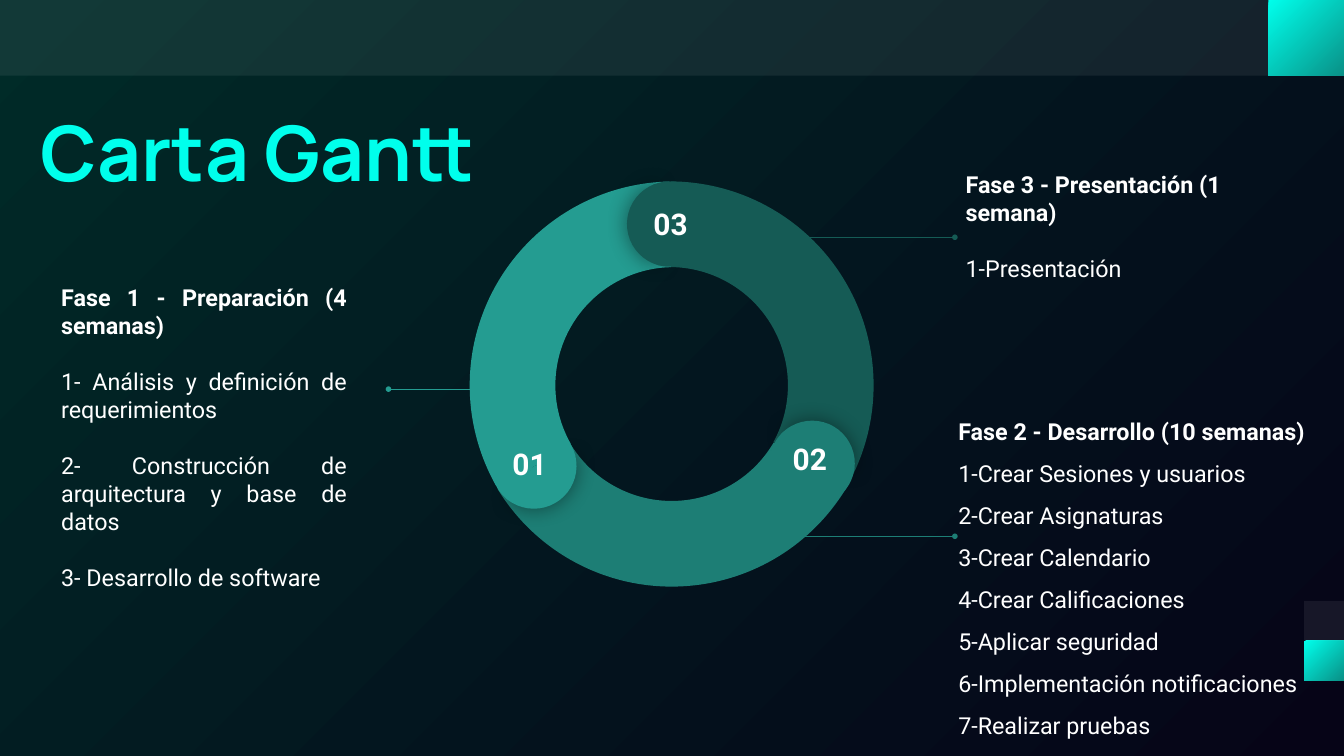
import dataclasses

import lxml.etree
import pptx
import pptx.dml.color
import pptx.enum.dml
import pptx.enum.shapes
import pptx.enum.text
import pptx.oxml.ns
import pptx.util

Pt = pptx.util.Pt
qn = pptx.oxml.ns.qn
SHAPE = pptx.enum.shapes.MSO_SHAPE
ALIGN = pptx.enum.text.PP_ALIGN
ANCHOR = pptx.enum.text.MSO_ANCHOR
NO_FIT = pptx.enum.text.MSO_AUTO_SIZE.NONE


@dataclasses.dataclass(frozen=True)
class Theme:
    accent: str = "00FFEC"
    accent_dark: str = "099187"
    backdrop: tuple = ("002B28", "060417")
    light: str = "FFFFFF"
    shadow: str = "000000"
    phase1: str = "249C91"
    phase2: str = "1D7E75"
    phase3: str = "155B55"
    title_font: str = "Manrope"
    text_font: str = "Roboto"
    title_size: float = 81.9
    number_size: float = 32
    text_size: float = 25
    inset: float = 14.4


@dataclasses.dataclass(frozen=True)
class Phase:
    number: str
    color: str
    ring_at: tuple
    cap_at: tuple
    turn: int
    number_at: tuple
    leader: tuple
    list_box: tuple
    lines: tuple
    paragraph: dict


def rgb(color):
    return pptx.dml.color.RGBColor.from_string(color)


def assign(target, values):
    for name, value in values.items():
        setattr(target, name, value)


def add_xml(parent, tag, **attributes):
    return lxml.etree.SubElement(parent, qn(tag), attributes)


class PhaseSlide:
    RING_SIZE = 437
    CAP_SIZE = 91.4

    def __init__(self, presentation, theme):
        self.theme = theme
        layout = presentation.slide_layouts.get_by_name("Comparison")
        self.slide = presentation.slides.add_slide(layout)
        self.gradient(self.slide.background.fill, theme.backdrop)

    def gradient(self, fill, colors):
        fill.gradient()
        fill.gradient_angle = 315
        for stop, color, position in zip(fill.gradient_stops, colors, (0, 1)):
            stop.color.rgb = rgb(color)
            stop.position = position

    def place(self, shape, box):
        assign(shape, dict(zip(("left", "top", "width", "height"), map(Pt, box))))

    def frame(self, shape, anchor, inset):
        margins = dict.fromkeys(
            ("margin_left", "margin_top", "margin_right", "margin_bottom"), Pt(inset))
        assign(shape.text_frame, {"word_wrap": True, "auto_size": NO_FIT,
                                  "vertical_anchor": anchor, **margins})

    def fill_paragraph(self, paragraph, text, font, color, paragraph_format):
        assign(paragraph, {"space_before": Pt(0), **paragraph_format})
        run = paragraph.add_run()
        run.text = text
        assign(run.font, font)
        run.font.color.rgb = rgb(color)

    def title(self, text, box):
        title = self.slide.shapes.title
        self.place(title, box)
        self.frame(title, ANCHOR.TOP, 0)
        font = {"name": self.theme.title_font, "size": Pt(self.theme.title_size), "bold": True}
        self.fill_paragraph(title.text_frame.paragraphs[0], text, font, self.theme.accent,
                            {"alignment": ALIGN.LEFT, "line_spacing": 1.25})

    def phase_list(self, index, phase):
        body = self.slide.placeholders[index]
        self.place(body, phase.list_box)
        self.frame(body, ANCHOR.MIDDLE, self.theme.inset)
        frame = body.text_frame
        for i, line in enumerate(phase.lines):
            paragraph = frame.add_paragraph() if i else frame.paragraphs[0]
            font = {"name": self.theme.text_font, "size": Pt(self.theme.text_size),
                    "bold": i == 0}
            self.fill_paragraph(paragraph, line, font, self.theme.light, phase.paragraph)
            if i == len(phase.lines) - 1:
                paragraph.space_after = Pt(0)
            properties = paragraph._p.get_or_add_pPr()
            properties.set("marL", "0")
            properties.set("indent", "0")
            add_xml(properties, "a:buNone")

    def remove_placeholder(self, index):
        element = self.slide.placeholders[index]._element
        element.getparent().remove(element)

    def preset(self, kind, box, color, rotation=0, adjustments=()):
        shape = self.slide.shapes.add_shape(kind, *map(Pt, box))
        for i, value in enumerate(adjustments):
            shape.adjustments[i] = value
        shape.rotation = rotation
        shape.shadow.inherit = False
        shape.line.fill.background()
        shape.fill.solid()
        shape.fill.fore_color.rgb = rgb(color)
        return shape

    def veil(self, box):
        """Add a nearly transparent white rectangle."""
        shape = self.preset(SHAPE.RECTANGLE, box, self.theme.light)
        add_xml(next(shape._element.spPr.iter(qn("a:srgbClr"))), "a:alpha", val="7000")

    def accent_square(self, box):
        shape = self.preset(SHAPE.RECTANGLE, box, self.theme.accent)
        self.gradient(shape.fill, (self.theme.accent, self.theme.accent_dark))

    def leader(self, phase):
        start, end, y = phase.leader
        line = self.slide.shapes.add_connector(
            pptx.enum.shapes.MSO_CONNECTOR.STRAIGHT, Pt(start), Pt(y), Pt(end), Pt(y))
        line.line.width = Pt(0.75)
        line.line.color.rgb = rgb(phase.color)
        properties = line._element.spPr
        add_xml(properties.find(qn("a:ln")), "a:tailEnd", type="oval")
        add_xml(properties, "a:effectLst")

    def ring_part(self, phase):
        self.preset(SHAPE.BLOCK_ARC, (*phase.ring_at, self.RING_SIZE, self.RING_SIZE),
                    phase.color, phase.turn + 60, (126.23, 197.2, 0.21))

    def cap(self, phase):
        """Round off a ring part: a shadowed front and a plain back that hides the seam."""
        box = (*phase.cap_at, self.CAP_SIZE, self.CAP_SIZE)
        front = self.preset(SHAPE.PIE, box, phase.color, phase.turn + 0.6, (61.9, 149.96))
        effects = front._element.spPr.find(qn("a:effectLst"))
        shadow = add_xml(effects, "a:outerShdw", blurRad=str(Pt(22.5)), dist="0", dir="0",
                         algn="ctr", rotWithShape="0")
        tint = add_xml(shadow, "a:srgbClr", val=self.theme.shadow)
        add_xml(tint, "a:alpha", val="43000")
        self.preset(SHAPE.PIE, box, phase.color, (phase.turn + 180) % 360, (40.28, 171.84))

    def number(self, phase):
        label = self.slide.shapes.add_textbox(*map(Pt, (*phase.number_at, 80, 42)))
        self.frame(label, ANCHOR.TOP, self.theme.inset)
        font = {"name": self.theme.text_font, "size": Pt(self.theme.number_size), "bold": True}
        self.fill_paragraph(label.text_frame.paragraphs[0], phase.number, font,
                            self.theme.light, {"alignment": ALIGN.CENTER})


def main():
    theme = Theme()
    spaced = {"space_after": Pt(30)}
    preparation = Phase(
        "01", theme.phase1, (503.3, 194.4), (526.3, 453.6), 240, (527.5, 463),
        (515.5, 416.2, 416.9), (51.1, 225.4, 334.8, 486),
        ("Fase 1 - Preparación (4 semanas)",
         "1- Análisis y definición de requerimientos",
         "2- Construcción de arquitectura y base de datos",
         "3- Desarrollo de software"),
        {"alignment": ALIGN.JUSTIFY, **spaced})
    development = Phase(
        "02", theme.phase2, (501.1, 191.5), (824.4, 450.7), 120, (827.7, 458),
        (820.8, 1023.1, 574.6), (1012.3, 431.3, 427.7, 362.2),
        ("Fase 2 - Desarrollo (10 semanas)", "1-Crear Sesiones y usuarios",
         "2-Crear Asignaturas", "3-Crear Calendario", "4-Crear Calificaciones",
         "5-Aplicar seguridad", "6-Implementación notificaciones", "7-Realizar pruebas"),
        {"alignment": ALIGN.LEFT, "line_spacing": 1.5})
    presentation_phase = Phase(
        "03", theme.phase3, (499, 194.4), (671.8, 194.4), 0, (678.5, 206),
        (820.8, 1023.1, 254.2), (1020.2, 124.6, 334.8, 236.2),
        ("Fase 3 - Presentación (1 semana)", "1-Presentación"),
        {"alignment": ALIGN.LEFT, **spaced})
    phases = (presentation_phase, development, preparation)

    presentation = pptx.Presentation()
    assign(presentation, {"slide_width": Pt(1440), "slide_height": Pt(810)})
    gantt = PhaseSlide(presentation, theme)
    gantt.veil((0, 0, 1440, 81))
    gantt.accent_square((1359, 0, 81, 81))
    gantt.accent_square((1397.3, 686.4, 42.7, 42.7))
    gantt.veil((1397.3, 643.7, 42.7, 42.7))
    gantt.title("Carta Gantt", (43.9, 87.8, 547.9, 99.4))
    for index, phase in enumerate(phases, start=1):
        gantt.phase_list(index, phase)
    gantt.remove_placeholder(4)
    for draw in (gantt.leader, gantt.ring_part, gantt.cap, gantt.number):
        for phase in phases:
            draw(phase)
    presentation.save("out.pptx")


if __name__ == "__main__":
    main()
